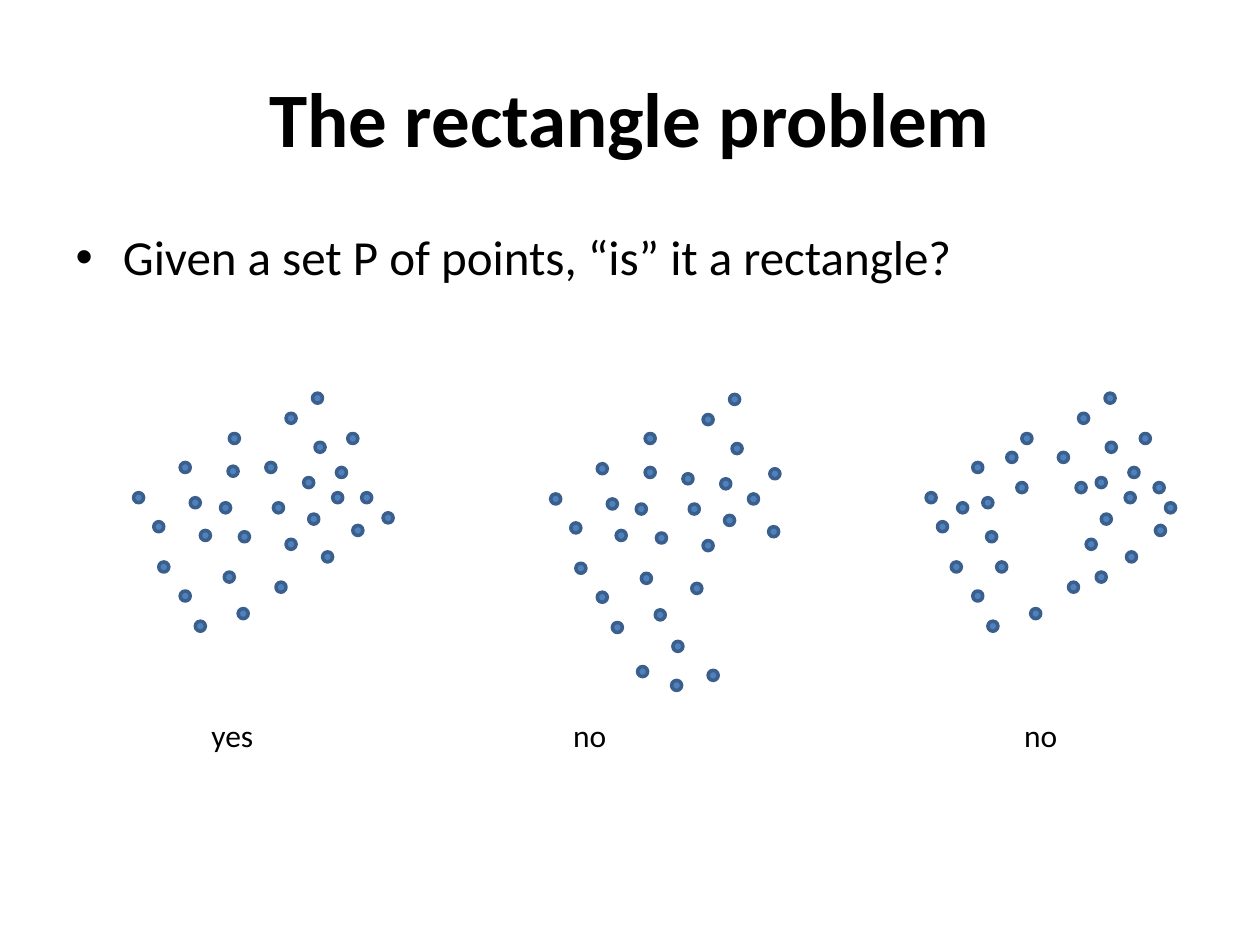
from pptx import Presentation
from pptx.dml.color import RGBColor
from pptx.enum.shapes import MSO_SHAPE
from pptx.enum.text import MSO_ANCHOR, MSO_AUTO_SIZE, PP_ALIGN
from pptx.util import Inches, Pt

COLORS = {"text": "000000", "dot": "4F81BD", "dot_line": "3A5F8C"}
DOT_SIZE = 0.08

# Left and top of every dot, in inches, one list per point set
FILLED_RECTANGLE = [
    (1.06, 3.91), (1.43, 3.67), (2.27, 3.28), (1.82, 3.44), (1.22, 4.14),
    (1.26, 4.46), (1.51, 3.95), (1.43, 4.69), (1.55, 4.93), (1.59, 4.21),
    (1.75, 3.99), (2.11, 3.67), (2.48, 3.12), (2.5, 3.51), (1.9, 4.22),
    (1.78, 4.54), (1.81, 3.7), (2.19, 4.62), (1.89, 4.83), (2.27, 4.28),
    (2.41, 3.79), (2.45, 4.08), (2.56, 4.38), (2.76, 3.44), (2.67, 3.71),
    (2.64, 3.91), (2.8, 4.17), (2.87, 3.91), (2.17, 3.99), (3.04, 4.07),
]
IRREGULAR_SHAPE = [
    (4.37, 3.92), (4.74, 3.68), (5.58, 3.29), (5.12, 3.44), (4.53, 4.15),
    (4.57, 4.47), (4.82, 3.96), (4.74, 4.7), (4.86, 4.94), (4.89, 4.21),
    (5.05, 4), (5.42, 3.76), (5.79, 3.13), (5.81, 3.52), (5.21, 4.23),
    (5.09, 4.55), (5.12, 3.71), (5.49, 4.63), (5.2, 4.84), (5.58, 4.29),
    (5.72, 3.8), (5.75, 4.09), (5.33, 5.4), (5.62, 5.32), (6.11, 3.72),
    (5.94, 3.92), (6.1, 4.18), (5.34, 5.09), (5.47, 4), (5.06, 5.29),
]
HOLLOW_RECTANGLE = [
    (7.35, 3.91), (7.72, 3.67), (8.56, 3.28), (8.11, 3.44), (7.44, 4.14),
    (7.55, 4.46), (7.8, 3.95), (7.72, 4.69), (7.84, 4.93), (7.83, 4.22),
    (8.07, 3.83), (8.4, 3.59), (8.77, 3.12), (8.78, 3.51), (8.7, 4.54),
    (7.91, 4.46), (7.99, 3.59), (8.48, 4.62), (8.18, 4.83), (8.62, 4.28),
    (8.7, 3.79), (8.74, 4.08), (8.94, 4.38), (9.05, 3.44), (8.96, 3.71),
    (8.93, 3.91), (9.17, 4.17), (9.16, 3.83), (8.54, 3.83), (9.25, 3.99),
    (7.6, 3.99),
]
# Answer, left and width of its label
ANSWERS = [("yes", 1.58, 0.54), ("no", 4.45, 0.47), ("no", 8.03, 0.47)]


def place(shape, left, top, width, height):
    shape.left, shape.top = Inches(left), Inches(top)
    shape.width, shape.height = Inches(width), Inches(height)


def set_text(shape, text, size, bold=False):
    shape.text_frame.text = text
    paragraph = shape.text_frame.paragraphs[0]
    font = paragraph.runs[0].font
    font.name = "Calibri"
    font.size = Pt(size)
    font.bold = bold
    font.color.rgb = RGBColor.from_string(COLORS["text"])
    return paragraph


presentation = Presentation()
presentation.slide_width = Inches(10)
presentation.slide_height = Inches(7.5)
slide = presentation.slides.add_slide(presentation.slide_layouts[1])

# Title
title = slide.shapes.title
place(title, 0.5, 0.3, 9, 1.25)
title.text_frame.vertical_anchor = MSO_ANCHOR.MIDDLE
set_text(title, "The rectangle problem", 44, bold=True).alignment = PP_ALIGN.CENTER

# Question, with the bullet of the template
body = slide.placeholders[1]
place(body, 0.5, 1.75, 9, 1.53)
question = set_text(body, "Given a set P of points, “is” it a rectangle?", 28)
question.space_before = Pt(0)

# Point sets
for left, top in FILLED_RECTANGLE + IRREGULAR_SHAPE + HOLLOW_RECTANGLE:
    dot = slide.shapes.add_shape(
        MSO_SHAPE.OVAL, Inches(left), Inches(top), Inches(DOT_SIZE), Inches(DOT_SIZE))
    dot.shadow.inherit = False
    dot.fill.solid()
    dot.fill.fore_color.rgb = RGBColor.from_string(COLORS["dot"])
    dot.line.color.rgb = RGBColor.from_string(COLORS["dot_line"])
    dot.line.width = Pt(2)

# Answers
for answer, left, width in ANSWERS:
    label = slide.shapes.add_textbox(
        Inches(left), Inches(5.63), Inches(width), Inches(0.4))
    label.text_frame.word_wrap = False
    label.text_frame.auto_size = MSO_AUTO_SIZE.SHAPE_TO_FIT_TEXT
    set_text(label, answer, 18)

presentation.save("out.pptx")
